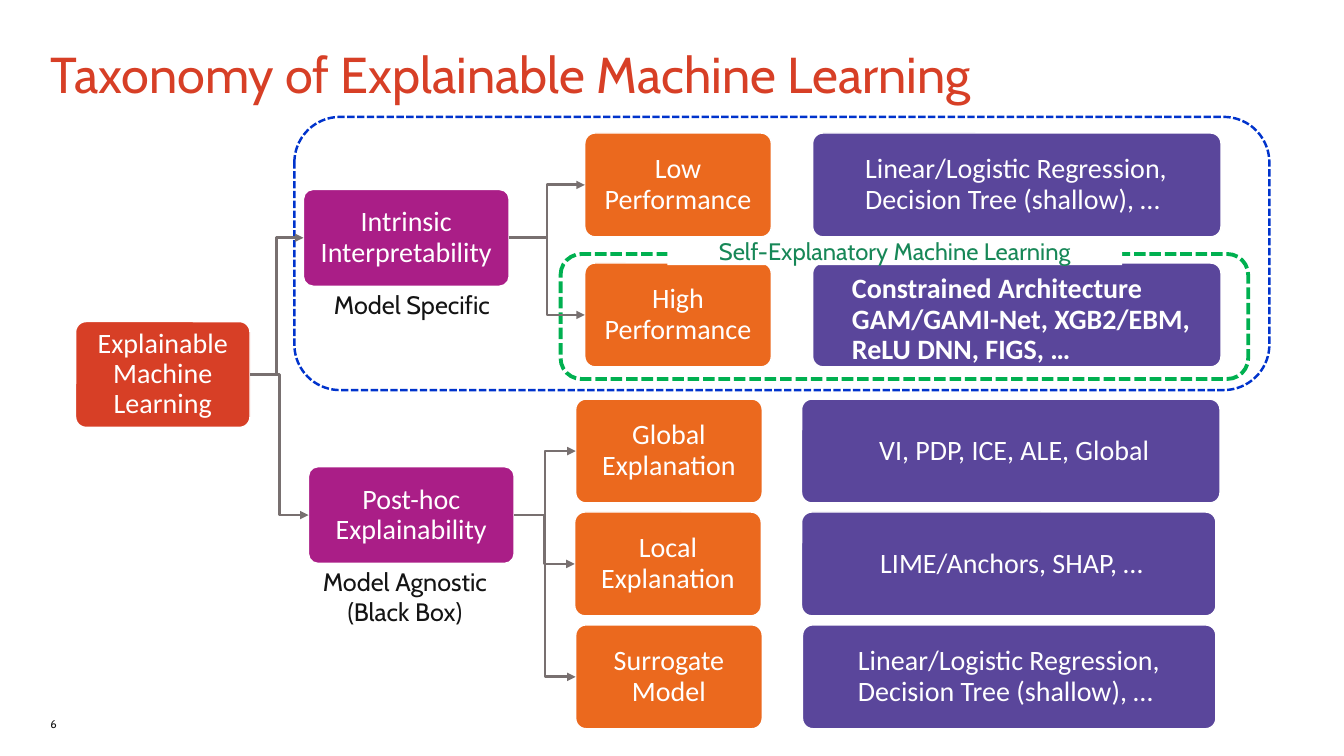
import pptx
import pptx.dml.color
import pptx.enum.dml
import pptx.enum.shapes
import pptx.enum.text
import pptx.oxml
import pptx.oxml.ns
import pptx.util

Inches = pptx.util.Inches
Shapes = pptx.enum.shapes.MSO_SHAPE
Align = pptx.enum.text.PP_ALIGN
Anchor = pptx.enum.text.MSO_ANCHOR
RED, MAGENTA, ORANGE, PURPLE = "D73F26", "AA1E87", "EB691E", "5A469B"
WHITE, INK, GREY = "FFFFFF", "141414", "787070"
LEFT_SITE, RIGHT_SITE = 1, 3


def colour(value):
    """Turn a hex string into a colour."""
    return pptx.dml.color.RGBColor.from_string(value)


def write(frame, lines, size, font, tint, align=Align.CENTER, anchor=Anchor.TOP,
          insets=(0, 0, 0, 0), bold=False, spacing=1.0):
    """Fill a text frame with one paragraph of broken lines."""
    frame.word_wrap = True
    frame.vertical_anchor = anchor
    (frame.margin_left, frame.margin_top,
     frame.margin_right, frame.margin_bottom) = map(Inches, insets)
    para = frame.paragraphs[0]
    para.alignment = align
    para.line_spacing = spacing
    for index, line in enumerate(lines):
        if index:
            para.add_line_break()
        span = para.add_run()
        span.text = line
        span.font.size = pptx.util.Pt(size)
        span.font.name = font
        span.font.bold = bold
        span.font.color.rgb = colour(tint)


def add_label(page, box, lines, size, tint, **options):
    """Place a plain text label in the box."""
    label = page.shapes.add_textbox(*map(Inches, box))
    write(label.text_frame, lines, size, "Cabin", tint, **options)
    return label


def add_node(page, box, fill, lines, **options):
    """Place a rounded, filled taxonomy node in the box."""
    node = page.shapes.add_shape(Shapes.ROUNDED_RECTANGLE, *map(Inches, box))
    node.adjustments[0] = 0.1
    node.shadow.inherit = False
    node.fill.solid()
    node.fill.fore_color.rgb = colour(fill)
    node.line.color.rgb = colour(WHITE)
    node.line.width = pptx.util.Pt(1)
    write(node.text_frame, lines, 20, "Calibri", WHITE,
          anchor=Anchor.MIDDLE, spacing=0.9, **options)
    return node


def add_row(page, box, example_left, category, examples, indent, top_inset=0, bold=False):
    """Place a category node and its examples node side by side in the box."""
    left, top, width, height = box
    node = add_node(page, (left, top, 1.85, height), ORANGE, category)
    add_node(page, (example_left, top, left + width - example_left, height), PURPLE,
             examples, align=Align.LEFT, insets=(indent, top_inset, 0, 0), bold=bold)
    return node


def add_branch(page, box, lines, caption, caption_offset):
    """Place a branch node in the box with its caption below."""
    left, top, width, height = box
    node = add_node(page, box, MAGENTA, lines)
    caption_box = (left + caption_offset, top + height + 0.03, 1.85, 0.3 * len(caption))
    add_label(page, caption_box, caption, 18, INK)
    return node


def add_frame(page, box, tint, weight):
    """Place a dashed rounded outline around the box."""
    frame = page.shapes.add_shape(Shapes.ROUNDED_RECTANGLE, *map(Inches, box))
    frame.shadow.inherit = False
    frame.fill.background()
    frame.line.color.rgb = colour(tint)
    frame.line.width = pptx.util.Pt(weight)
    frame.line.dash_style = pptx.enum.dml.MSO_LINE.SQUARE_DOT


def add_titled_frame(page, box, title):
    """Place a dashed outline with a title across its top edge."""
    left, top, width, height = box
    add_frame(page, box, "00B050", 2.75)
    label = add_label(page, (left + 1.06, top - 0.17, 4.51, 0.28), [title], 17, "178757")
    label.fill.solid()
    label.fill.fore_color.rgb = colour(WHITE)


def connect(page, parent, children):
    """Join a parent node to each child with an elbow arrow."""
    for child in children:
        arrow = page.shapes.add_connector(
            pptx.enum.shapes.MSO_CONNECTOR.ELBOW, 0, 0, 0, 0)
        arrow.begin_connect(parent, RIGHT_SITE)
        arrow.end_connect(child, LEFT_SITE)
        arrow.line.color.rgb = colour(GREY)
        arrow.line.width = pptx.util.Pt(2)
        head = pptx.oxml.parse_xml(
            "<a:tailEnd %s type='triangle'/>" % pptx.oxml.ns.nsdecls("a"))
        arrow.line._get_or_add_ln().append(head)
        effects = pptx.oxml.parse_xml("<a:effectLst %s/>" % pptx.oxml.ns.nsdecls("a"))
        arrow._element.spPr.append(effects)


def add_title(page, box, text):
    """Place the slide title in the box."""
    title = page.shapes.title
    title.left, title.top, title.width, title.height = map(Inches, box)
    write(title.text_frame, [text], 36, "Cabin", RED, align=Align.LEFT, spacing=0.9)


def add_taxonomy(page, box):
    """Place the whole taxonomy tree in the box."""
    left, top, width, height = box
    shallow = ["Linear/Logistic Regression,", "Decision Tree (shallow), …"]
    root = add_node(page, (left, top + 2.03, 1.73, 1.05), RED,
                    ["Explainable", "Machine", "Learning"])
    intrinsic = add_branch(page, (left + 2.26, top + 0.72, 2.04, 0.96),
                           ["Intrinsic", "Interpretability"], ["Model Specific"], 0.15)
    posthoc = add_branch(page, (left + 2.31, top + 3.47, 2.04, 0.96),
                         ["Post-hoc", "Explainability"],
                         ["Model Agnostic", "(Black Box)"], 0.03)
    models = [
        add_row(page, (left + 5.05, top + 0.16, 6.31, 1.03), left + 7.31,
                ["Low", "Performance"], shallow, 0.49),
        add_row(page, (left + 5.05, top + 1.45, 6.31, 1.03), left + 7.31,
                ["High", "Performance"],
                ["Constrained Architecture", "GAM/GAMI-Net, XGB2/EBM,", "ReLU DNN, FIGS, …"],
                0.36, top_inset=0.1, bold=True),
    ]
    explanations = [
        add_row(page, (left + 4.96, top + 2.8, 6.39, 1.03), left + 7.2,
                ["Global", "Explanation"], ["VI, PDP, ICE, ALE, Global"], 0.74),
        add_row(page, (left + 4.95, top + 3.92, 6.36, 1.03), left + 7.2,
                ["Local", "Explanation"], ["LIME/Anchors, SHAP, …"], 0.75),
        add_row(page, (left + 4.96, top + 5.04, 6.35, 1.03), left + 7.21,
                ["Surrogate", "Model"], shallow, 0.52),
    ]
    add_titled_frame(page, (left + 4.81, top + 1.36, 6.82, 1.24),
                     "Self-Explanatory Machine Learning")
    add_frame(page, (left + 2.17, top, 9.67, 2.71), "0033CC", 1.75)
    connect(page, root, [intrinsic, posthoc])
    connect(page, intrinsic, models)
    connect(page, posthoc, explanations)


def main():
    """Build the slide and save the deck."""
    deck = pptx.Presentation()
    deck.slide_width, deck.slide_height = Inches(13.33), Inches(7.5)
    page = deck.slides.add_slide(deck.slide_layouts[5])
    add_title(page, (0.5, 0.5, 12.33, 1), "Taxonomy of Explainable Machine Learning")
    add_taxonomy(page, (0.75, 1.16, 11.84, 6.08))
    add_label(page, (0.5, 7, 0.5, 0.25), ["6"], 8, INK,
              align=Align.LEFT, anchor=Anchor.BOTTOM)
    deck.save("out.pptx")


if __name__ == "__main__":
    main()
